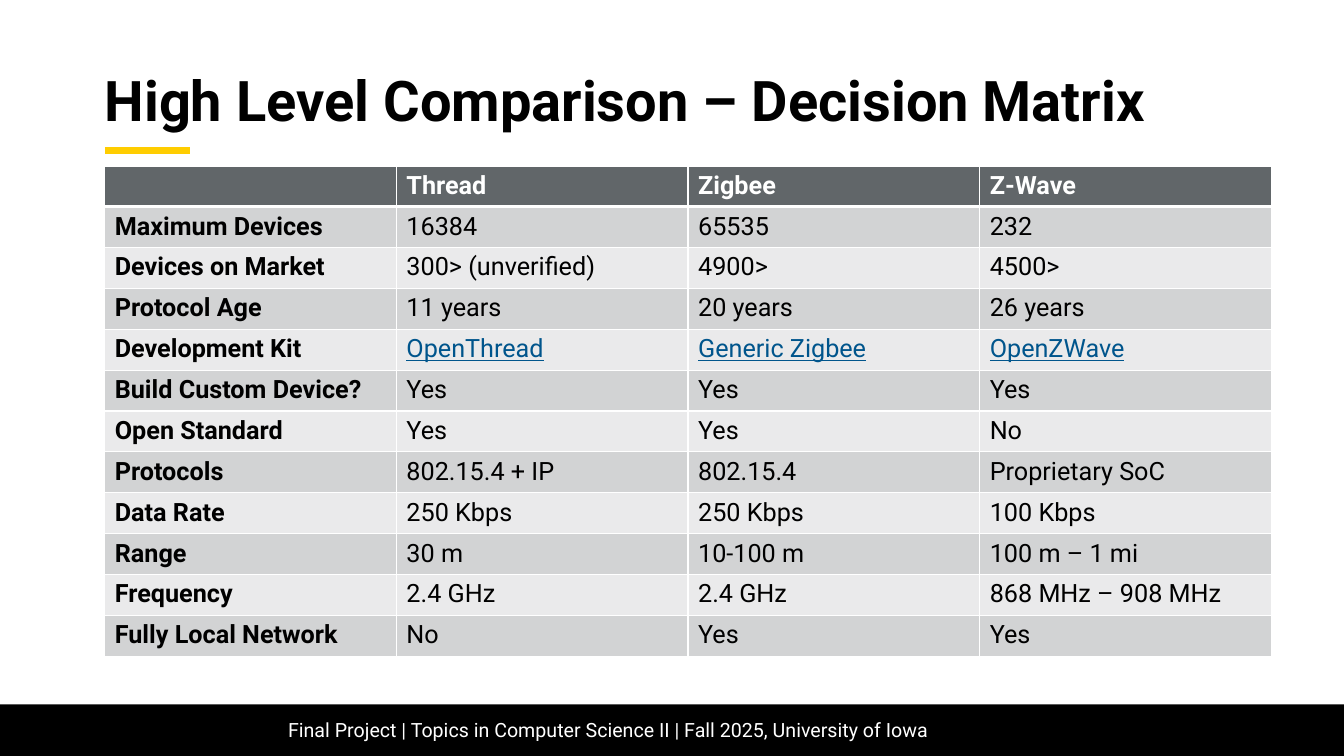
import dataclasses
import pptx
import pptx.dml.color
import pptx.enum.shapes
import pptx.enum.text
import pptx.oxml
import pptx.oxml.ns
import pptx.util

Cm = pptx.util.Cm
Pt = pptx.util.Pt


@dataclasses.dataclass(frozen=True)
class Theme:
    face: str = "Roboto"
    black: str = "000000"
    white: str = "FFFFFF"
    gold: str = "FFCD00"
    head: str = "616669"
    bands: tuple = ("D2D3D4", "EAEAEB")
    link: str = "00558C"
    title: int = 40
    body: int = 18
    foot: int = 14


THEME = Theme()

HEADS = ("", "Thread", "Zigbee", "Z-Wave")
ROWS = (
    ("Maximum Devices", "16384", "65535", "232"),
    ("Devices on Market", "300> (unverified)", "4900>", "4500>"),
    ("Protocol Age", "11 years", "20 years", "26 years"),
    ("Development Kit", "OpenThread", "Generic Zigbee", "OpenZWave"),
    ("Build Custom Device?", "Yes", "Yes", "Yes"),
    ("Open Standard", "Yes", "Yes", "No"),
    ("Protocols", "802.15.4 + IP", "802.15.4", "Proprietary SoC"),
    ("Data Rate", "250 Kbps", "250 Kbps", "100 Kbps"),
    ("Range", "30 m", "10-100 m", "100 m – 1 mi"),
    ("Frequency", "2.4 GHz", "2.4 GHz", "868 MHz – 908 MHz"),
    ("Fully Local Network", "No", "Yes", "Yes"),
)
LINKED = "Development Kit"


def tint(code):
    return pptx.dml.color.RGBColor.from_string(code)


def paint(fill, code):
    fill.solid()
    fill.fore_color.rgb = tint(code)


def style(para, size, code, bold=False, under=None):
    font = para.font
    font.name = THEME.face
    font.size = Pt(size)
    font.bold = bold
    font.underline = under
    font.color.rgb = tint(code)


def add_text(slide, box, text, size, code, bold=False, inset=None, lead=None):
    frame = slide.shapes.add_textbox(*map(Cm, box)).text_frame
    frame.word_wrap = True
    frame.vertical_anchor = pptx.enum.text.MSO_ANCHOR.MIDDLE
    if inset is not None:
        frame.margin_left = frame.margin_right = Cm(inset)
        frame.margin_top = frame.margin_bottom = Cm(inset)
    para = frame.paragraphs[0]
    para.text = text
    para.line_spacing = lead
    style(para, size, code, bold)


def add_bar(slide, box, code):
    kind = pptx.enum.shapes.MSO_SHAPE.RECTANGLE
    bar = slide.shapes.add_shape(kind, *map(Cm, box))
    bar.shadow.inherit = False
    paint(bar.fill, code)
    bar.line.fill.background()


def add_rule(slide, ends, code, width):
    kind = pptx.enum.shapes.MSO_CONNECTOR.STRAIGHT
    rule = slide.shapes.add_connector(kind, *map(Cm, ends))
    rule.line.color.rgb = tint(code)
    rule.line.width = Pt(width)
    rule._element.spPr.append(pptx.oxml.parse_xml(
        f"<a:effectLst {pptx.oxml.ns.nsdecls('a')}/>"))


def edge(cell, top, base):
    props = cell._tc.get_or_add_tcPr()
    sides = (("L", 1), ("R", 1), ("T", top), ("B", base))
    for spot, (side, width) in enumerate(sides):
        props.insert(spot, pptx.oxml.parse_xml(
            f"<a:ln{side} {pptx.oxml.ns.nsdecls('a')} w='{Pt(width)}'>"
            f"<a:solidFill><a:srgbClr val='{THEME.white}'/></a:solidFill>"
            f"</a:ln{side}>"))


def fill_cell(cell, text, row, col, linked):
    para = cell.text_frame.paragraphs[0]
    para.text = text
    if row == 0:
        back, code = THEME.head, THEME.white
    else:
        back = THEME.bands[(row - 1) % 2]
        code = THEME.link if linked else THEME.black
    style(para, THEME.body, code, row == 0 or col == 0, linked or None)
    paint(cell.fill, back)
    edge(cell, 3 if row == 1 else 1, 3 if row == 0 else 1)


def add_grid(slide, left, top, wide, first, high):
    data = (HEADS,) + ROWS
    size = (wide * len(HEADS), first + high * len(ROWS))
    grid = slide.shapes.add_table(
        len(data), len(HEADS), *map(Cm, (left, top) + size)).table
    for col in grid.columns:
        col.width = Cm(wide)
    for row, texts in enumerate(data):
        grid.rows[row].height = Cm(high if row else first)
        for col, text in enumerate(texts):
            linked = texts[0] == LINKED and col > 0
            fill_cell(grid.cell(row, col), text, row, col, linked)


def main():
    deck = pptx.Presentation()
    deck.slide_width, deck.slide_height = Cm(33.87), Cm(19.05)
    slide = deck.slides.add_slide(deck.slide_layouts[6])

    # Accent rule and footer band
    add_rule(slide, (2.64, 3.78, 4.78, 3.78), THEME.gold, 5)
    add_bar(slide, (0, 17.75, 33.87, 1.3), THEME.black)

    # Title and footer text
    add_text(slide, (2.64, 1.37, 27.76, 2.49),
             "High Level Comparison – Decision Matrix",
             THEME.title, THEME.black, bold=True, inset=0, lead=0.9)
    add_text(slide, (7.01, 17.88, 24.13, 1.02),
             "Final Project | Topics in Computer Science II | "
             "Fall 2025, University of Iowa", THEME.foot, THEME.white)

    # Decision matrix
    add_grid(slide, 2.64, 4.19, 7.35, 0.99, 1.03)

    deck.save("out.pptx")


if __name__ == "__main__":
    main()
